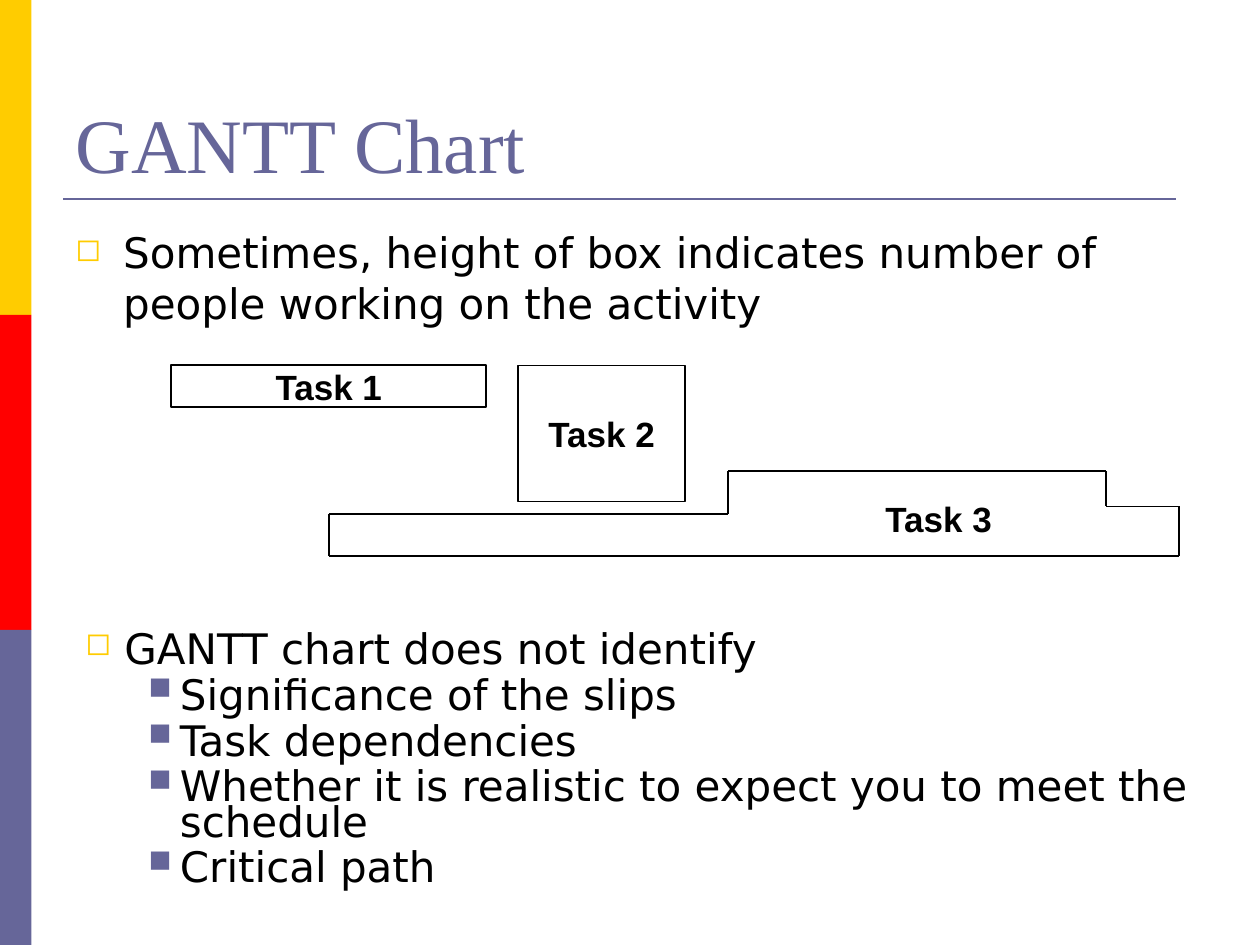
from lxml.etree import SubElement
from pptx import Presentation
from pptx.dml.color import RGBColor
from pptx.enum.shapes import MSO_CONNECTOR as LINE, MSO_SHAPE as SHAPE
from pptx.enum.text import MSO_ANCHOR as ANCHOR, PP_ALIGN as ALIGN
from pptx.oxml.ns import qn
from pptx.util import Pt

PX = 9144  # 100 px to the inch
COLORS = {"yellow": "FFCC00", "red": "FF0000", "violet": "666699", "black": "000000"}
RGB = {name: RGBColor.from_string(value) for name, value in COLORS.items()}


def add_text(paragraph, text, font_name, size, color="black", bold=False):
    run = paragraph.add_run()
    run.text = text
    run.font.name, run.font.size, run.font.bold = font_name, Pt(size), bold
    run.font.color.rgb = RGB[color]


def set_bullet(paragraph, char, color, margin, indent):
    props = paragraph._p.get_or_add_pPr()
    props.set("marL", str(margin * PX))
    props.set("indent", str(-indent * PX))
    SubElement(SubElement(props, qn("a:buClr")), qn("a:srgbClr"), val=COLORS[color])
    SubElement(props, qn("a:buSzPct"), val="75000")
    SubElement(props, qn("a:buFont"), typeface="OpenSymbol")
    SubElement(props, qn("a:buChar"), char=char)


prs = Presentation()
prs.slide_width, prs.slide_height = 1000 * PX, 750 * PX
slide = prs.slides.add_slide(prs.slide_layouts[5])
shapes = slide.shapes

# Side stripes
for row, color in enumerate(("yellow", "red", "violet")):
    stripe = shapes.add_shape(SHAPE.RECTANGLE, 0, row * 250 * PX, 25 * PX, 250 * PX)
    stripe.shadow.inherit = False
    stripe.fill.solid()
    stripe.fill.fore_color.rgb = RGB[color]
    stripe.line.fill.background()

# Title
title = shapes.title
title.left, title.top, title.width, title.height = 50 * PX, 30 * PX, 900 * PX, 125 * PX
title.text_frame.vertical_anchor = ANCHOR.BOTTOM
heading = title.text_frame.paragraphs[0]
heading.alignment = ALIGN.LEFT
add_text(heading, "GANTT Chart", "Times New Roman", 44, "violet")

# Opening point
opening = shapes.add_textbox(50 * PX, 175 * PX, 900 * PX, 495 * PX).text_frame
opening.word_wrap = True
point = opening.paragraphs[0]
set_bullet(point, "◻", "yellow", 38, 38)
add_text(point, "Sometimes, height of box indicates number of people working on the activity",
         "DejaVu Sans", 24)

# Tasks 1 and 2: plain boxes
tasks = [
    ("Task 1", 136, 290, 250, 33),
    ("Task 2", 411, 290, 133, 108),
]
for label, left, top, width, height in tasks:
    task = shapes.add_shape(SHAPE.RECTANGLE, left * PX, top * PX, width * PX, height * PX)
    task.shadow.inherit = False
    task.fill.background()
    task.line.color.rgb = RGB["black"]
    task.line.width = Pt(1)
    task.text_frame.word_wrap = False
    task.text_frame.vertical_anchor = ANCHOR.MIDDLE
    task.text_frame.paragraphs[0].alignment = ALIGN.CENTER
    add_text(task.text_frame.paragraphs[0], label, "Arial", 20, bold=True)

# Title rule, and the stepped outline of task 3 drawn edge by edge
corners = [(936, 441), (261, 441), (261, 408), (578, 408), (578, 374),
           (878, 374), (878, 402), (936, 402), (936, 441)]
lines = [((50, 158), (933, 158), "violet", 1.5)]
lines += [(*sorted(edge), "black", 1) for edge in zip(corners, corners[1:])]
for (x1, y1), (x2, y2), color, weight in lines:
    line = shapes.add_connector(LINE.STRAIGHT, x1 * PX, y1 * PX, x2 * PX, y2 * PX)
    line.line.color.rgb = RGB[color]
    line.line.width = Pt(weight)
    SubElement(line._element.spPr, qn("a:effectLst"))

task_label = shapes.add_textbox(661 * PX, 390 * PX, 168 * PX, 43 * PX).text_frame
task_label.word_wrap = True
task_label.paragraphs[0].alignment = ALIGN.CENTER
add_text(task_label.paragraphs[0], "Task 3", "Arial", 20, bold=True)

# What the chart leaves out
limits = shapes.add_textbox(58 * PX, 500 * PX, 917 * PX, 225 * PX).text_frame
limits.word_wrap = True
lead = limits.paragraphs[0]
lead.line_spacing = 0.7
set_bullet(lead, "◻", "yellow", 31, 31)
add_text(lead, "GANTT chart does not identify", "DejaVu Sans", 24)
for text in (
    "Significance of the slips",
    "Task dependencies",
    "Whether it is realistic to expect you to meet the schedule",
    "Critical path",
):
    limit = limits.add_paragraph()
    limit.level = 1
    limit.line_spacing = 0.7
    limit.space_before = Pt(6)
    set_bullet(limit, "■", "violet", 75, 25)
    add_text(limit, text, "DejaVu Sans", 24)

prs.save("out.pptx")
